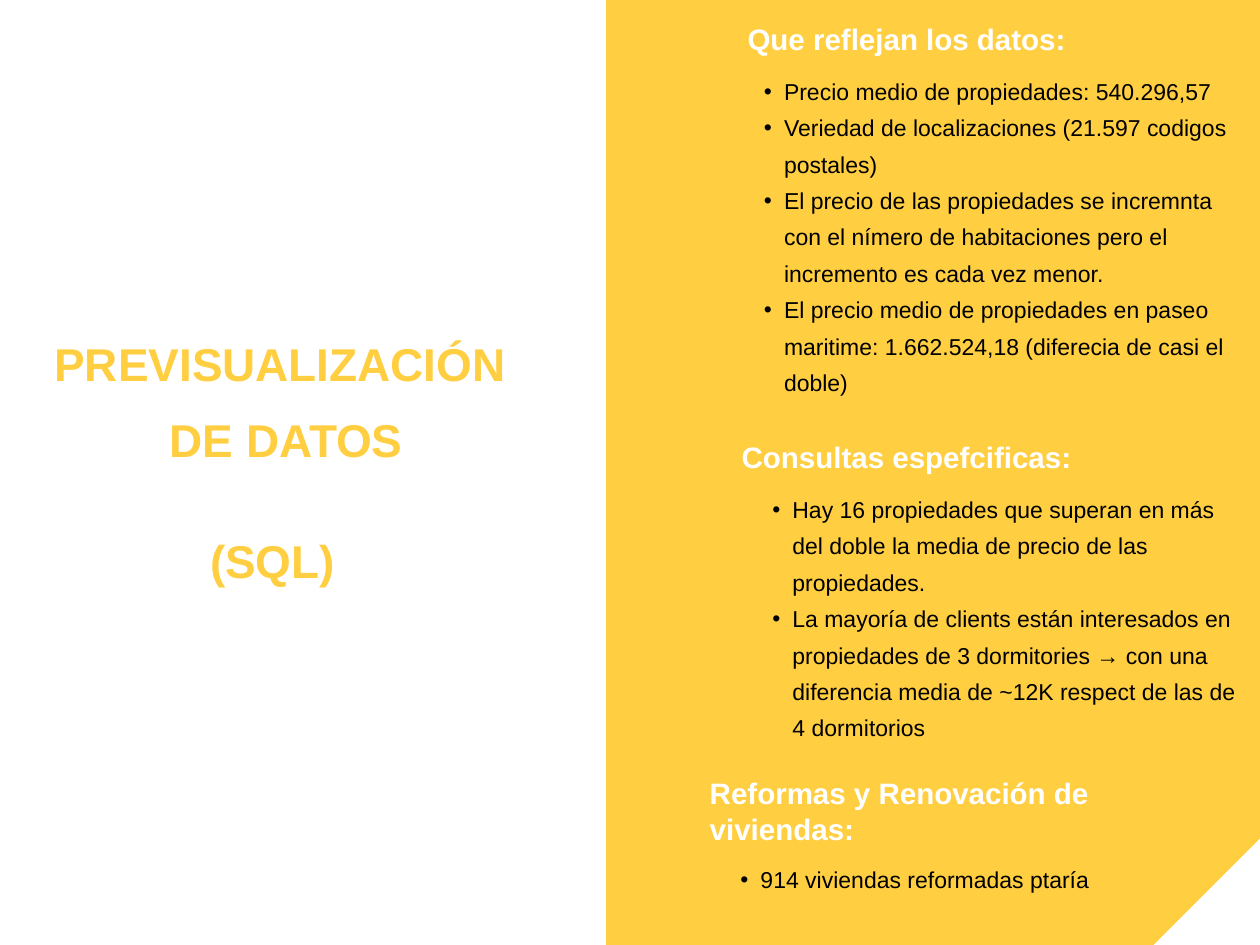
"""Build the slide that previews the housing data obtained with SQL."""
from dataclasses import dataclass

import lxml.etree
import pptx
import pptx.dml.color
import pptx.enum.shapes
import pptx.enum.text
import pptx.oxml.ns
import pptx.util

WIDTH, HEIGHT = pptx.util.Inches(10.67), pptx.util.Inches(8)
YELLOW, WHITE, BLACK = "FFCE41", "FFFFFF", "000000"
LEFT_ALIGN = pptx.enum.text.PP_ALIGN.LEFT
CENTER = pptx.enum.text.PP_ALIGN.CENTER


@dataclass(frozen=True)
class Area:
    """Place and size in percent of the slide."""
    left: float
    top: float
    width: float
    height: float


@dataclass(frozen=True)
class Style:
    """Look shared by all paragraphs of a text."""
    size: float
    color: str
    leading: float = 22.2
    bold: bool = True
    bulleted: bool = False
    align: pptx.enum.text.PP_ALIGN = LEFT_ALIGN


@dataclass(frozen=True)
class Text:
    """Lines of text in one area."""
    area: Area
    style: Style
    lines: tuple[str, ...]


TITLE = Style(28, YELLOW, leading=46.1, align=CENTER)
SUBTITLE = Style(28, YELLOW, leading=19.4)
HEADING = Style(18, WHITE)
FINDINGS = Style(14, BLACK, bold=False, bulleted=True)

TEXTS = (
    Text(Area(4.12, 33.38, 37.2, 15.25), TITLE, ("PREVISUALIZACIÓN ", "DE DATOS")),
    Text(Area(16.68, 58.88, 12.56, 3.63), SUBTITLE, ("(SQL)",)),
    Text(Area(59.33, 2.13, 39.55, 3.63), HEADING, ("Que reflejan los datos:",)),
    Text(Area(58.2, 7.25, 40.67, 34.25), FINDINGS, (
        "Precio medio de propiedades: 540.296,57",
        "Veriedad de localizaciones (21.597 codigos postales)",
        "El precio de las propiedades se incremnta con el nímero de habitaciones "
        "pero el incremento es cada vez menor.",
        "El precio medio de propiedades en paseo maritime: 1.662.524,18 "
        "(diferecia de casi el doble)",
    )),
    Text(Area(58.86, 46.38, 39.55, 3.63), HEADING, ("Consultas espefcificas:",)),
    Text(Area(58.86, 51.5, 39.55, 26.63), FINDINGS, (
        "Hay 16 propiedades que superan en más del doble la media de precio "
        "de las propiedades.",
        "La mayoría de clients están interesados en propiedades de 3 dormitories "
        "→ con una diferencia media de ~12K respect de las de 4 dormitorios",
    )),
    Text(Area(56.33, 81.88, 39.55, 7.5), HEADING, ("Reformas y Renovación de viviendas:",)),
    Text(Area(56.33, 90.63, 39.55, 3.5), FINDINGS, ("914 viviendas reformadas ptaría",)),
)


def rgb(color: str) -> pptx.dml.color.RGBColor:
    """Turn a hex string into a colour."""
    return pptx.dml.color.RGBColor.from_string(color)


def across(percent: float) -> int:
    """Give a share of the slide's width."""
    return round(WIDTH * percent / 100)


def down(percent: float) -> int:
    """Give a share of the slide's height."""
    return round(HEIGHT * percent / 100)


def box(area: Area) -> tuple[int, int, int, int]:
    """Convert an area into slide lengths."""
    return across(area.left), down(area.top), across(area.width), down(area.height)


def paint(shape, color: str) -> None:
    """Give a shape a flat fill without line or shadow."""
    shape.shadow.inherit = False
    shape.fill.solid()
    shape.fill.fore_color.rgb = rgb(color)
    shape.line.fill.background()


def add_bullet(paragraph) -> None:
    """Set a hanging bullet on a paragraph."""
    paragraph.level = 1
    properties = paragraph._p.get_or_add_pPr()
    properties.set("marL", str(pptx.util.Inches(0.43)))
    properties.set("indent", str(pptx.util.Inches(-0.17)))
    for tag, key, value in (("a:buFont", "typeface", "Arial"), ("a:buChar", "char", "•")):
        lxml.etree.SubElement(properties, pptx.oxml.ns.qn(tag)).set(key, value)


def draw_text(slide, text: Text) -> None:
    """Draw one text with its style."""
    style = text.style
    frame = slide.shapes.add_textbox(*box(text.area)).text_frame
    frame.word_wrap = True
    frame.auto_size = pptx.enum.text.MSO_AUTO_SIZE.SHAPE_TO_FIT_TEXT
    frame.margin_left = frame.margin_right = frame.margin_top = frame.margin_bottom = 0
    frame.text = "\n".join(text.lines)
    for paragraph in frame.paragraphs:
        if style.bulleted:
            add_bullet(paragraph)
        paragraph.alignment = style.align
        paragraph.line_spacing = pptx.util.Pt(style.leading)
        paragraph.font.name = "Arial"
        paragraph.font.size = pptx.util.Pt(style.size)
        paragraph.font.bold = style.bold
        paragraph.font.color.rgb = rgb(style.color)


def draw_corner(slide, left: float, top: float) -> None:
    """Cut the bottom right corner of the slide with a white triangle."""
    builder = slide.shapes.build_freeform(WIDTH, down(top))
    builder.add_line_segments([(WIDTH, HEIGHT), (across(left), HEIGHT)], close=True)
    paint(builder.convert_to_shape(), WHITE)


def main() -> None:
    """Build and save the slide."""
    deck = pptx.Presentation()
    deck.slide_width, deck.slide_height = WIDTH, HEIGHT
    slide = deck.slides.add_slide(deck.slide_layouts[6])
    slide.background.fill.solid()
    slide.background.fill.fore_color.rgb = rgb(YELLOW)
    title_panel = slide.shapes.add_shape(
        pptx.enum.shapes.MSO_SHAPE.RECTANGLE, *box(Area(0, 0, 48.08, 100)))
    paint(title_panel, WHITE)
    for text in TEXTS:
        draw_text(slide, text)
    draw_corner(slide, 91.57, 88.75)
    deck.save("out.pptx")


if __name__ == "__main__":
    main()
